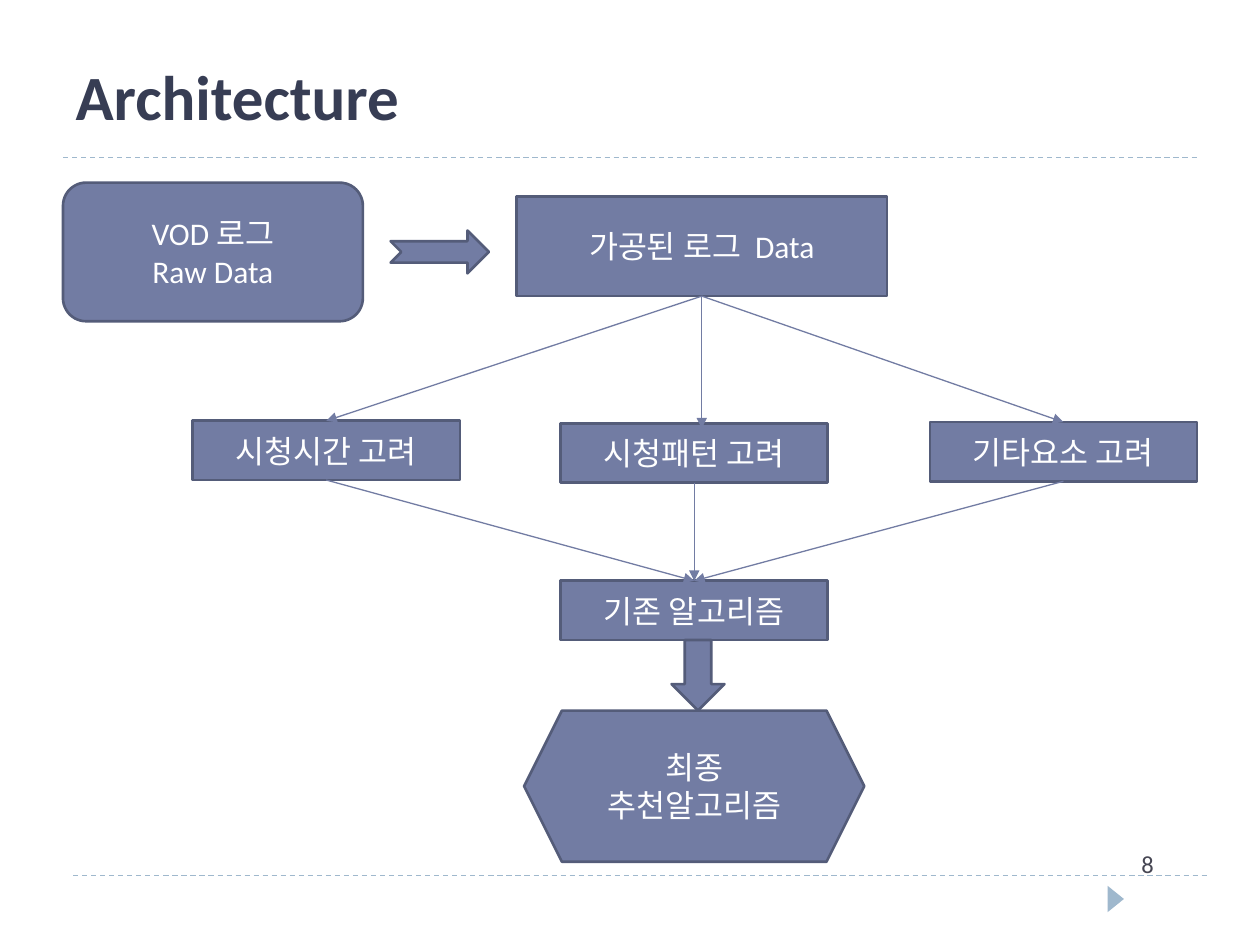
from pptx import Presentation
from pptx.dml.color import RGBColor
from pptx.enum.dml import MSO_LINE
from pptx.enum.shapes import MSO_CONNECTOR, MSO_SHAPE
from pptx.enum.text import MSO_ANCHOR, PP_ALIGN
from pptx.oxml.ns import qn
from pptx.util import Inches, Pt
from lxml import etree

RECT = MSO_SHAPE.RECTANGLE
ROUND = MSO_SHAPE.ROUNDED_RECTANGLE
HEX = MSO_SHAPE.HEXAGON
NOTCH = MSO_SHAPE.NOTCHED_RIGHT_ARROW
DOWN = MSO_SHAPE.DOWN_ARROW
TRI = MSO_SHAPE.ISOSCELES_TRIANGLE
LINE = MSO_CONNECTOR.STRAIGHT
DASH = MSO_LINE.DASH
TOP, MID, LOW = MSO_ANCHOR.TOP, MSO_ANCHOR.MIDDLE, MSO_ANCHOR.BOTTOM
CENTER, LEFT = PP_ALIGN.CENTER, PP_ALIGN.LEFT
TOP_SITE, LOW_SITE = 0, 2

COLORS = {"box": "727CA3", "edge": "545C79", "pale": "9FB8CD",
          "title": "373D54", "page": "464653", "white": "FFFFFF"}


class Deck:
    font = "Calibri"

    def __init__(self):
        self.prs = Presentation()
        self.prs.slide_width, self.prs.slide_height = Inches(10), Inches(7.5)
        self.slide = self.prs.slides.add_slide(self.prs.slide_layouts[5])
        self.shapes = self.slide.shapes

    def color(self, name):
        return RGBColor.from_string(COLORS[name])

    def fill_text(self, shape, text, size, color, align, anchor, bold=False):
        frame = shape.text_frame
        frame.text = text
        frame.word_wrap = True
        frame.vertical_anchor = anchor
        style = {"name": self.font, "size": Pt(size), "bold": bold}
        for para in frame.paragraphs:
            para.alignment = align
            for run in para.runs:
                for key, value in style.items():
                    setattr(run.font, key, value)
                run.font.color.rgb = self.color(color)

    def title(self, text, *at):
        shape = self.shapes.title
        for key, value in zip(("left", "top", "width", "height"), at):
            setattr(shape, key, Inches(value))
        self.fill_text(shape, text, 36, "title", LEFT, LOW, True)

    def label(self, text, *at):
        shape = self.shapes.add_textbox(*map(Inches, at))
        self.fill_text(shape, text, 14, "page", LEFT, TOP)

    def shape(self, kind, *at, text="", fill="box", edge="edge", turn=0):
        shape = self.shapes.add_shape(kind, *map(Inches, at))
        shape.shadow.inherit = False
        shape.rotation = turn
        shape.fill.solid()
        shape.fill.fore_color.rgb = self.color(fill)
        if edge:
            shape.line.color.rgb = self.color(edge)
            shape.line.width = Pt(1.5)
        else:
            shape.line.fill.background()
        if text:
            self.fill_text(shape, text, 18, "white", CENTER, MID)
        return shape

    def line(self, *ends, color="box"):
        line = self.shapes.add_connector(LINE, *map(Inches, ends))
        line.line.color.rgb = self.color(color)
        line.line.width = Pt(0.75)
        etree.SubElement(line._element.spPr, qn("a:effectLst"))
        return line

    def rule(self, left, top):
        line = self.line(left, top, left + 9, top, color="pale")
        line.line.dash_style = DASH

    def arrow(self, *ends):
        line = self.line(*ends)
        edge = line._element.spPr.find(qn("a:ln"))
        etree.SubElement(edge, qn("a:tailEnd"), type="triangle")
        return line

    def link(self, start, end):
        line = self.arrow(0, 0, 0, 0)
        line.begin_connect(start, LOW_SITE)
        line.end_connect(end, TOP_SITE)


deck = Deck()
deck.rule(0.58, 6.95)
deck.rule(0.5, 1.25)
deck.shape(TRI, 8.75, 7.07, 0.21, 0.13, fill="pale", edge=None, turn=90)
deck.title("Architecture", 0.5, 0.4, 9, 0.71)
deck.label("8", 8.96, 6.69, 0.75, 0.33)

deck.shape(ROUND, 0.5, 1.45, 2.38, 1.1, text="VOD 로그\nRaw Data")
data = deck.shape(RECT, 4.1, 1.56, 2.94, 0.79, text="가공된 로그  Data")
deck.shape(NOTCH, 3.1, 1.83, 0.78, 0.34)

time, habit, other, base = [
    deck.shape(RECT, left, top, 2.12, 0.47, text=text)
    for left, top, text in (
        (1.53, 3.34, "시청시간 고려"),
        (4.45, 3.36, "시청패턴 고려"),
        (7.38, 3.35, "기타요소 고려"),
        (4.45, 4.61, "기존 알고리즘"))]

deck.link(data, time)
deck.arrow(5.57, 2.35, 5.57, 3.4)
deck.link(data, other)
for step in (time, habit, other):
    deck.link(step, base)

deck.shape(HEX, 4.16, 5.64, 2.7, 1.2, text="최종\n추천알고리즘")
deck.shape(DOWN, 5.33, 5.08, 0.42, 0.56)

deck.prs.save("out.pptx")
